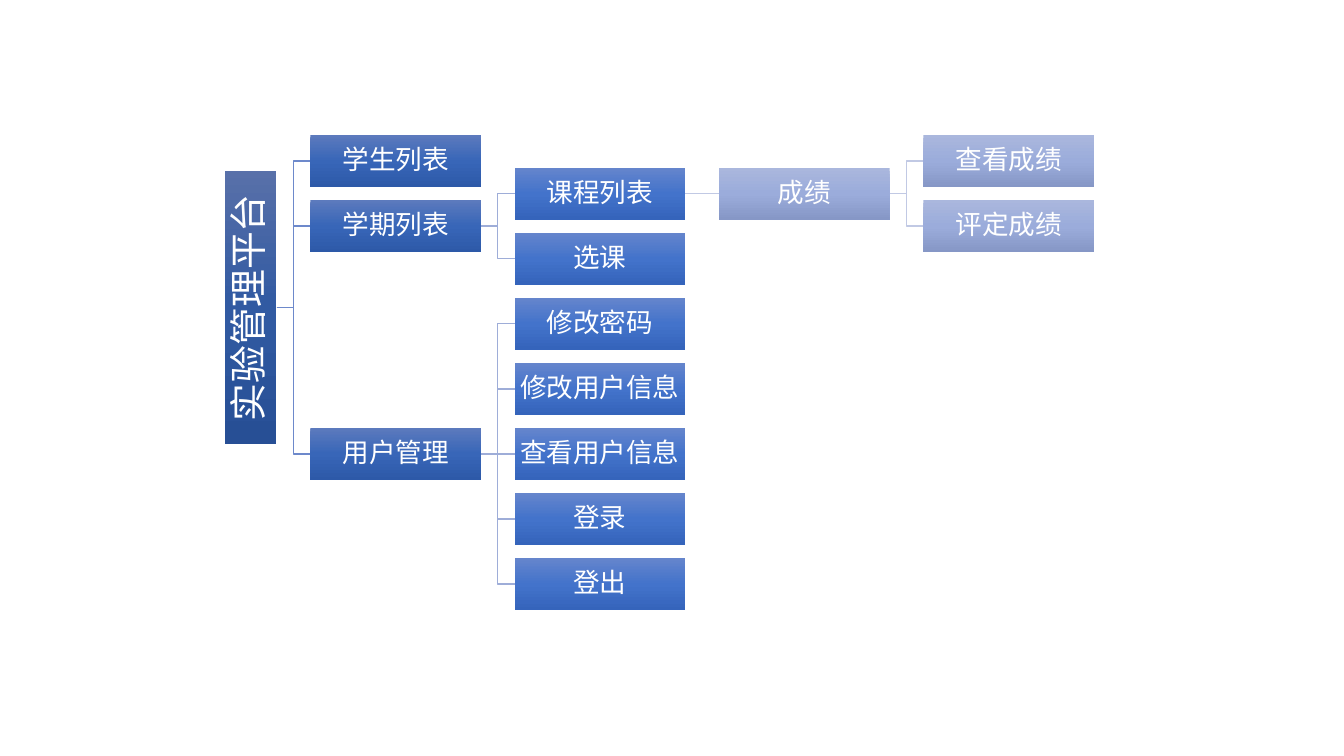
from copy import deepcopy

from lxml.etree import SubElement
from pptx import Presentation
from pptx.dml.color import RGBColor
from pptx.enum.shapes import MSO_CONNECTOR as Connector, MSO_SHAPE as Preset
from pptx.enum.text import MSO_ANCHOR as Anchor, PP_ALIGN as Align
from pptx.oxml.ns import qn
from pptx.util import Cm, Pt

FONT = "Noto Sans CJK SC"
COLORS = {
    "text": "FFFFFF",
    "boxes": [
        ("5870A9", "315AA2", "274F95"),
        ("5C7ABD", "3866B8", "2D59A8"),
        ("6585CC", "4373CB", "3564BB"),
        ("AAB7DD", "9BACDB", "8697C6"),
        ("AAB7DD", "9BACDB", "8697C6"),
    ],
    "links": ["6D89CB", "9EADD8", "C1C9E4", "C1C9E4"],
}

BOX_WIDTH, BOX_HEIGHT = 4.3, 1.31
ROOT_LENGTH = 6.88
GAP = 0.85
FIRST_LEFT, FIRST_MIDDLE = 7.82, 4.06
ROW_STEP = 1.64

TREE = ("实验管理平台", [
    ("学生列表", 0),
    ("学期列表", [
        ("课程列表", [("成绩", [("查看成绩", 0), ("评定成绩", 1)])]),
        ("选课", 1.5),
    ]),
    ("用户管理", [
        ("修改密码", 2.5),
        ("修改用户信息", 3.5),
        ("查看用户信息", 4.5),
        ("登录", 5.5),
        ("登出", 6.5),
    ]),
])


def row_of(node):
    """Return a leaf's own row, or the middle of a parent's outer children."""
    below = node[1]
    if not isinstance(below, list):
        return below
    if len(below) == 1 and below[0][0] == "成绩":
        return row_of(below[0])
    return (row_of(below[0]) + row_of(below[-1])) / 2


def write_text(frame, text, size=19, color=COLORS["text"], inset=0.03):
    """Write one centred line into a text frame."""
    frame.word_wrap = True
    frame.vertical_anchor = Anchor.MIDDLE
    frame.margin_left = frame.margin_right = Cm(inset)
    frame.margin_top = frame.margin_bottom = Cm(inset)
    para = frame.paragraphs[0]
    para.alignment = Align.CENTER
    para.line_spacing = 0.9
    span = para.add_run()
    span.text = text
    span.font.size = Pt(size)
    span.font.name = FONT
    span.font.color.rgb = RGBColor.from_string(color)
    SubElement(span.font._element, qn("a:ea"), typeface=FONT)


class TreePage:
    """Draws a horizontal tree on one page."""

    def __init__(self, page):
        """Keep the page to draw on."""
        self.page = page

    def box(self, text, center, middle, level):
        """Add a gradient box; the root is longer and turned upright."""
        root = level == 0
        width = ROOT_LENGTH if root else BOX_WIDTH
        box = self.page.shapes.add_shape(
            Preset.RECTANGLE, Cm(center - width / 2),
            Cm(middle - BOX_HEIGHT / 2), Cm(width), Cm(BOX_HEIGHT))
        box.shadow.inherit = False
        box.line.fill.background()
        box.fill.gradient()
        box.fill.gradient_angle = 270
        gradient = box._element.spPr.find(qn("a:gradFill"))
        gradient.set("rotWithShape", "0")
        stops = gradient.find(qn("a:gsLst"))
        stops.insert(1, deepcopy(stops[0]))
        shades = zip(box.fill.gradient_stops, (0, 0.5, 1), COLORS["boxes"][level])
        for stop, position, color in shades:
            stop.position = position
            stop.color.rgb = RGBColor.from_string(color)
        box.rotation = 270 if root else 0
        write_text(box.text_frame, text, size=27 if root else 19,
                   inset=0.05 if root else 0.03)

    def link(self, left, start, right, end, color):
        """Join two boxes with a straight or an elbowed line."""
        shapes = self.page.shapes
        left, start, right, end = Cm(left), Cm(start), Cm(right), Cm(end)
        if start == end:
            line = shapes.add_connector(Connector.STRAIGHT, left, start, right, end)
            SubElement(line._element.spPr, qn("a:effectLst"))
        else:
            bend = (left + right) // 2
            builder = shapes.build_freeform(left, start)
            builder.add_line_segments(
                [(bend, start), (bend, end), (right, end)], close=False)
            line = builder.convert_to_shape()
            line.fill.background()
            line.shadow.inherit = False
        line.line.color.rgb = RGBColor.from_string(color)
        line.line.width = Pt(1)

    def branch(self, node, level=0):
        """Draw a node with its links and everything below it."""
        text, below = node
        middle = FIRST_MIDDLE + row_of(node) * ROW_STEP
        left = FIRST_LEFT + (level - 1) * (BOX_WIDTH + GAP)
        right = left + BOX_WIDTH
        center = left + BOX_WIDTH / 2
        if level == 0:
            center = right - BOX_HEIGHT / 2
        for child in below if isinstance(below, list) else []:
            child_middle = FIRST_MIDDLE + row_of(child) * ROW_STEP
            self.link(right, middle, right + GAP, child_middle,
                      COLORS["links"][level])
            self.branch(child, level + 1)
        self.box(text, center, middle, level)


def main():
    """Build the deck and save it."""
    deck = Presentation()
    deck.slide_width, deck.slide_height = Cm(33.87), Cm(19.05)
    page = deck.slides.add_slide(deck.slide_layouts[6])
    TreePage(page).branch(TREE)
    deck.save("out.pptx")


if __name__ == "__main__":
    main()
